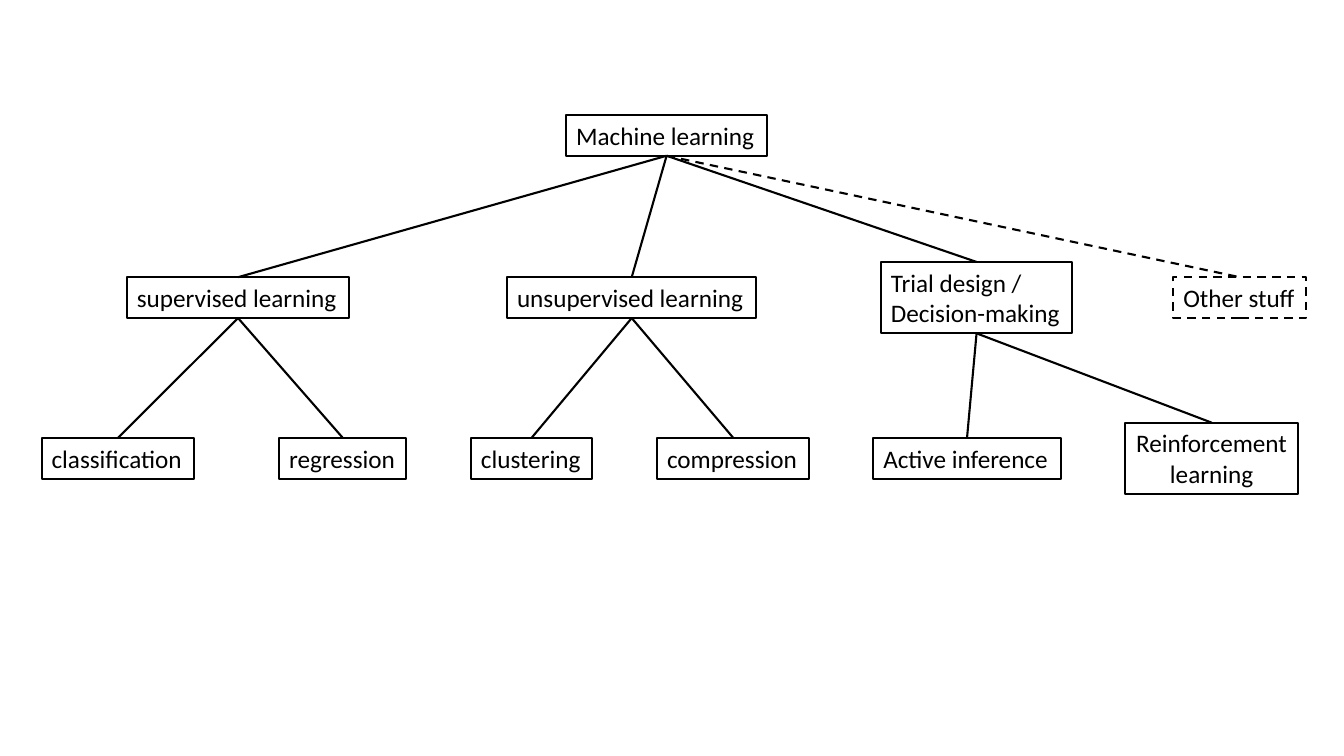
from dataclasses import dataclass
from lxml.etree import SubElement
from pptx import Presentation
from pptx.dml.color import RGBColor
from pptx.enum.dml import MSO_LINE
from pptx.enum.shapes import MSO_CONNECTOR, MSO_SHAPE
from pptx.enum.text import MSO_ANCHOR, MSO_AUTO_SIZE, PP_ALIGN
from pptx.oxml.ns import qn
from pptx.shapes.autoshape import Shape
from pptx.shapes.connector import Connector
from pptx.slide import Slide
from pptx.util import Cm, Pt

COLOURS = {"ink": "000000"}
LEVEL_MIDDLES = (3.41, 7.5, 11.55)
BOX_HEIGHTS = {1: 1.03, 2: 1.8}
TOP_SITE, BOTTOM_SITE = 0, 2


@dataclass(frozen=True)
class Topic:
    lines: tuple[str, ...]
    left: float
    width: float
    children: tuple["Topic", ...] = ()
    dashed: bool = False
    alignment: PP_ALIGN = PP_ALIGN.LEFT


MACHINE_LEARNING = Topic(("Machine learning",), 14.27, 5.06, (
    Topic(("supervised learning",), 3.2, 5.6, (
        Topic(("classification",), 1.05, 3.84),
        Topic(("regression",), 7.04, 3.2),
    )),
    Topic(("unsupervised learning",), 12.78, 6.28, (
        Topic(("clustering",), 11.87, 3.05),
        Topic(("compression",), 16.56, 3.84),
    )),
    Topic(("Trial design /", "Decision-making"), 22.2, 4.82, (
        Topic(("Active inference",), 22.01, 4.72),
        Topic(("Reinforcement", "learning"), 28.35, 4.37, alignment=PP_ALIGN.CENTER),
    )),
    Topic(("Other stuff",), 29.57, 3.35, dashed=True),
))


def style_line(shape: Shape | Connector, dashed: bool) -> None:
    shape.line.color.rgb = RGBColor.from_string(COLOURS["ink"])
    shape.line.width = Pt(1.5)
    if dashed:
        shape.line.dash_style = MSO_LINE.DASH


def draw_box(slide: Slide, topic: Topic, level: int) -> Shape:
    height = BOX_HEIGHTS[len(topic.lines)]
    top = LEVEL_MIDDLES[level] - height / 2
    box = slide.shapes.add_shape(
        MSO_SHAPE.RECTANGLE, Cm(topic.left), Cm(top), Cm(topic.width), Cm(height)
    )
    box.shadow.inherit = False
    box.fill.background()
    style_line(box, topic.dashed)

    frame = box.text_frame
    frame.word_wrap = False
    frame.auto_size = MSO_AUTO_SIZE.SHAPE_TO_FIT_TEXT
    frame.vertical_anchor = MSO_ANCHOR.TOP
    for index, line in enumerate(topic.lines):
        paragraph = frame.add_paragraph() if index else frame.paragraphs[0]
        paragraph.alignment = topic.alignment
        run = paragraph.add_run()
        run.text = line
        run.font.name = "Calibri"
        run.font.size = Pt(18)
        run.font.color.rgb = RGBColor.from_string(COLOURS["ink"])
    return box


def draw_branch(slide: Slide, parent: Shape, child: Shape, dashed: bool) -> None:
    branch = slide.shapes.add_connector(
        MSO_CONNECTOR.STRAIGHT, parent.left, parent.top, child.left, child.top
    )
    branch.begin_connect(parent, BOTTOM_SITE)
    branch.end_connect(child, TOP_SITE)
    style_line(branch, dashed)
    SubElement(branch._element.spPr, qn("a:effectLst"))


def draw_tree(slide: Slide, topic: Topic, level: int = 0) -> Shape:
    box = draw_box(slide, topic, level)
    for child in topic.children:
        child_box = draw_tree(slide, child, level + 1)
        draw_branch(slide, box, child_box, child.dashed)
    return box


def main() -> None:
    presentation = Presentation()
    presentation.slide_width = Cm(33.87)
    presentation.slide_height = Cm(19.05)
    slide = presentation.slides.add_slide(presentation.slide_layouts[6])
    draw_tree(slide, MACHINE_LEARNING)
    presentation.save("out.pptx")


if __name__ == "__main__":
    main()
